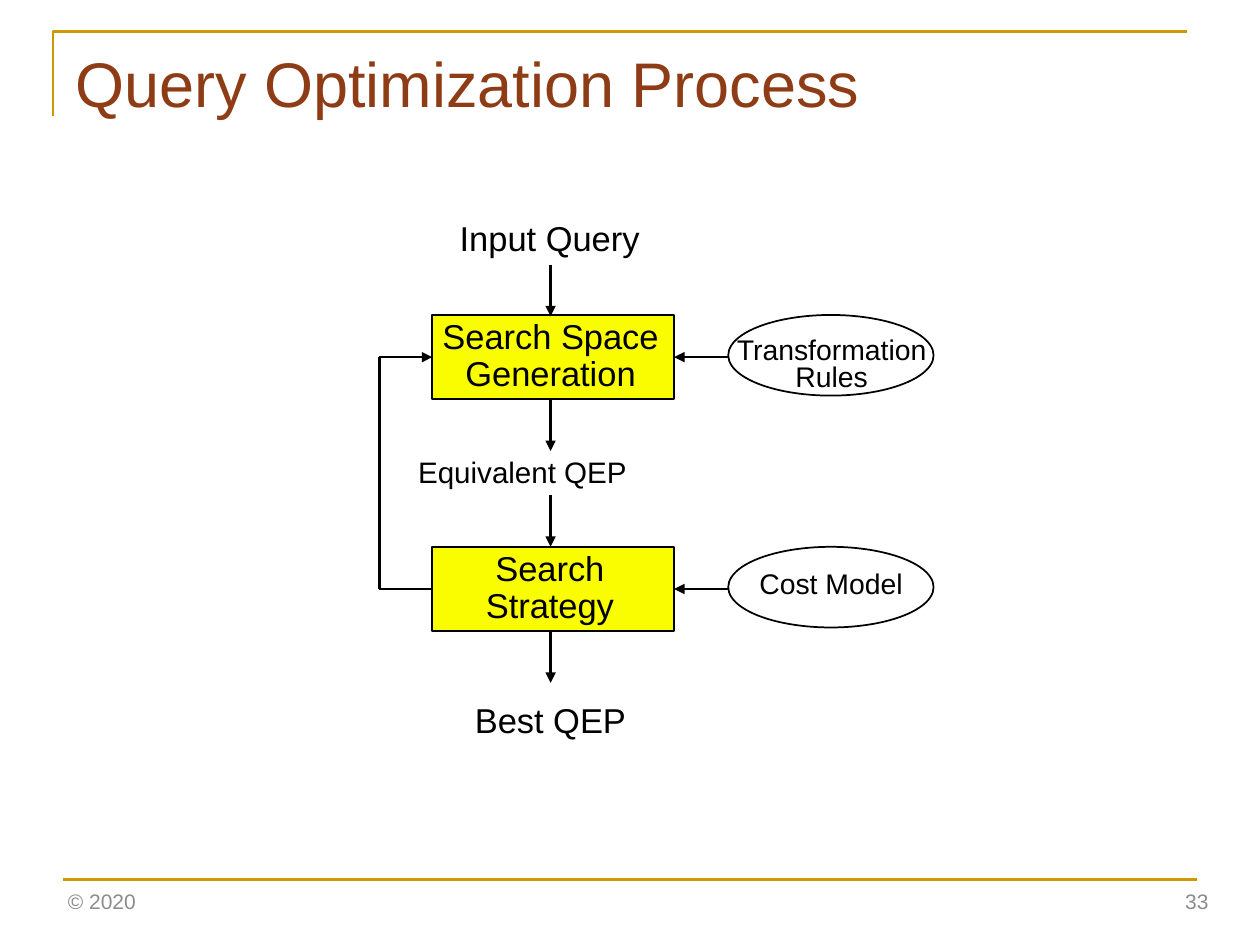
from lxml import etree
from pptx import Presentation
from pptx.dml.color import RGBColor
from pptx.enum.shapes import MSO_CONNECTOR, MSO_SHAPE
from pptx.enum.text import MSO_ANCHOR, PP_ALIGN
from pptx.oxml.ns import qn
from pptx.util import Inches, Pt

RECT, OVAL = MSO_SHAPE.RECTANGLE, MSO_SHAPE.OVAL
LINE = MSO_CONNECTOR.STRAIGHT
LEFT, MID, RIGHT = PP_ALIGN.LEFT, PP_ALIGN.CENTER, PP_ALIGN.RIGHT
TOP, HALF = MSO_ANCHOR.TOP, MSO_ANCHOR.MIDDLE

WIDE, HIGH = 10, 7.5
BLACK, GOLD, YELLOW = "000000", "CC9900", "FAFD00"
BROWN, GREY = "8D3C15", "8C8C8C"

# Columns: feedback loop, step boxes, main flow, ovals
LOOP, STEP, FLOW, SIDE = 3.01, 3.43, 4.37, 5.78
STEP_W, STEP_H = 1.92, 0.67
OVAL_W, OVAL_H = 1.63, 0.64
# Rows: tops of the two steps
SPACE, PLAN = 2.5, 4.34


def color(code):
    return RGBColor.from_string(code)


def text(slide, box, lines, size, code=BLACK, align=LEFT, gap=None,
         anchor=TOP, wrap=False):
    frame = slide.shapes.add_textbox(*map(Inches, box)).text_frame
    frame.word_wrap = wrap
    frame.vertical_anchor = anchor
    frame.text = lines
    for para in frame.paragraphs:
        para.alignment = align
        if gap:
            para.line_spacing = gap
        para.font.name = "Arial"
        para.font.size = Pt(size)
        para.font.color.rgb = color(code)


def shape(slide, kind, box, fill=None):
    item = slide.shapes.add_shape(kind, *map(Inches, box))
    item.shadow.inherit = False
    if fill:
        item.fill.solid()
        item.fill.fore_color.rgb = color(fill)
    else:
        item.fill.background()
    item.line.color.rgb = color(BLACK)
    item.line.width = Pt(1)
    return item


def line(slide, start, end, code=BLACK, head=False):
    item = slide.shapes.add_connector(LINE, *map(Inches, start + end))
    item.line.color.rgb = color(code)
    item.line.width = Pt(1.5)
    props = item._element.spPr
    if head:
        etree.SubElement(props.find(qn("a:ln")), qn("a:tailEnd"), type="triangle")
    etree.SubElement(props, qn("a:effectLst"))
    return item


def frame(slide):
    """Title, corner rule, bottom rule and footer."""
    pen = slide.shapes.build_freeform(Inches(0.42), Inches(0.92))
    pen.add_line_segments([(Inches(0.42), Inches(0.25)),
                           (Inches(9.42), Inches(0.25))], close=False)
    rule = pen.convert_to_shape()
    rule.shadow.inherit = False
    rule.fill.background()
    rule.line.color.rgb = color(GOLD)
    rule.line.width = Pt(1.5)
    line(slide, (0.5, 6.98), (WIDE - 0.5, 6.98), GOLD)
    text(slide, (0.5, 0.3, 9, 1.25), "Query Optimization Process", 36, BROWN,
         wrap=True)
    text(slide, (0.44, 6.95, 3.38, 0.4), "© 2020", 12, GREY,
         anchor=HALF, wrap=True)
    text(slide, (7.44, 6.95, 2.25, 0.4), "33", 12, GREY, RIGHT,
         anchor=HALF, wrap=True)


def step(slide, top, label, left, width):
    """Yellow box, its label, and an oval with an arrow into the box."""
    box = shape(slide, RECT, (STEP, top, STEP_W, STEP_H), YELLOW)
    text(slide, (left, top - 0.01, width, 0.7), label, 19.7, align=MID, gap=0.9)
    shape(slide, OVAL, (SIDE, top, OVAL_W, OVAL_H))
    row = top + STEP_H / 2
    line(slide, (SIDE, row), (STEP + STEP_W, row), head=True).end_connect(box, 3)
    return box


def loop(slide, first, last):
    """Feedback from the last step to the first."""
    up, down = (top + STEP_H / 2 for top in (SPACE, PLAN))
    line(slide, (STEP, down), (LOOP, down)).begin_connect(last, 1)
    line(slide, (LOOP, down), (LOOP, up))
    line(slide, (LOOP, up), (STEP, up), head=True).end_connect(first, 1)


def main():
    deck = Presentation()
    deck.slide_width, deck.slide_height = Inches(WIDE), Inches(HIGH)
    slide = deck.slides.add_slide(deck.slide_layouts[6])
    frame(slide)

    first = step(slide, SPACE, "Search Space\nGeneration", 3.4, 1.94)
    last = step(slide, PLAN, "Search\nStrategy", 3.75, 1.23)
    loop(slide, first, last)
    for top in (2.1, SPACE + STEP_H, 3.93, PLAN + STEP_H):
        line(slide, (FLOW, top), (FLOW, top + 0.41), head=True)

    text(slide, (3.55, 1.67, 1.65, 0.43), "Input Query", 19.7)
    text(slide, (3.22, 3.55, 1.87, 0.38), "Equivalent QEP", 16.9)
    text(slide, (3.67, 5.5, 1.42, 0.43), "Best QEP", 19.7)
    text(slide, (5.74, 2.64, 1.72, 0.54), "Transformation\nRules", 16.2,
         align=MID, gap=0.8)
    text(slide, (5.92, 4.5, 1.35, 0.32), "Cost Model", 16.2, align=MID, gap=0.8)
    deck.save("out.pptx")


if __name__ == "__main__":
    main()
